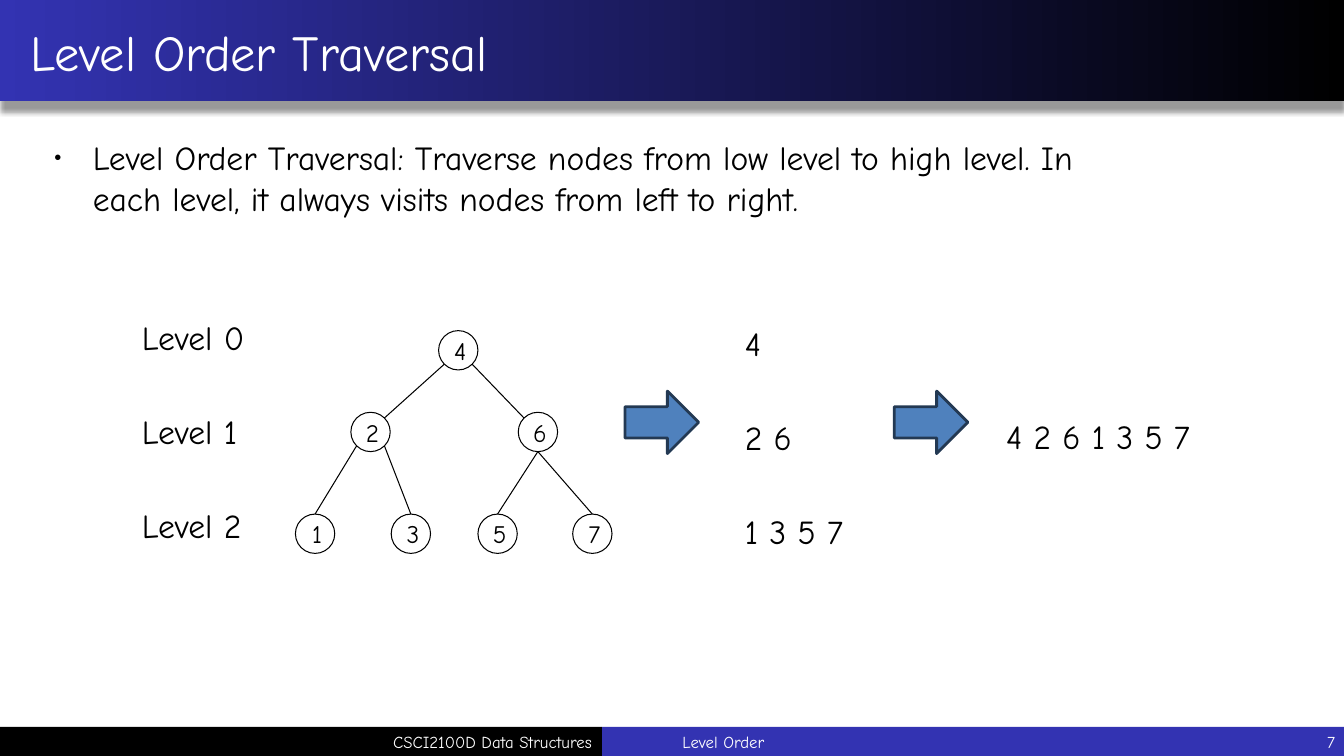
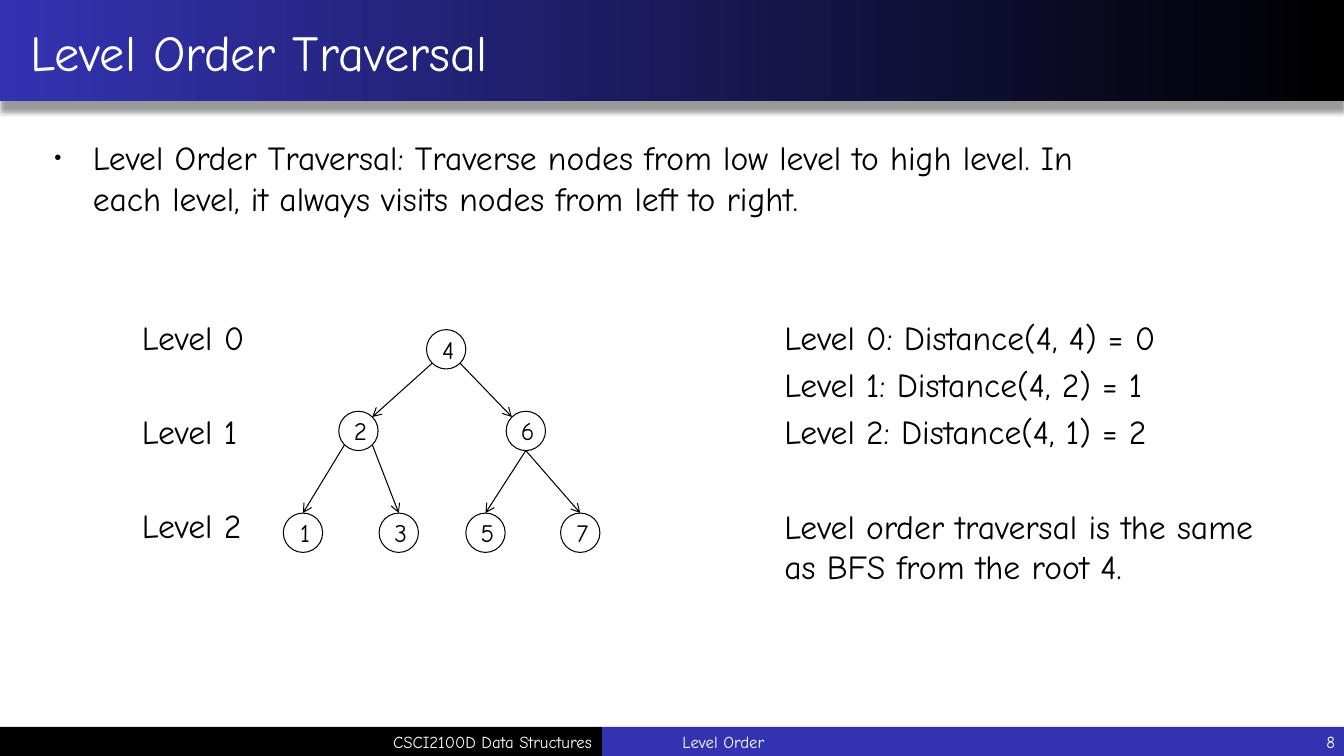
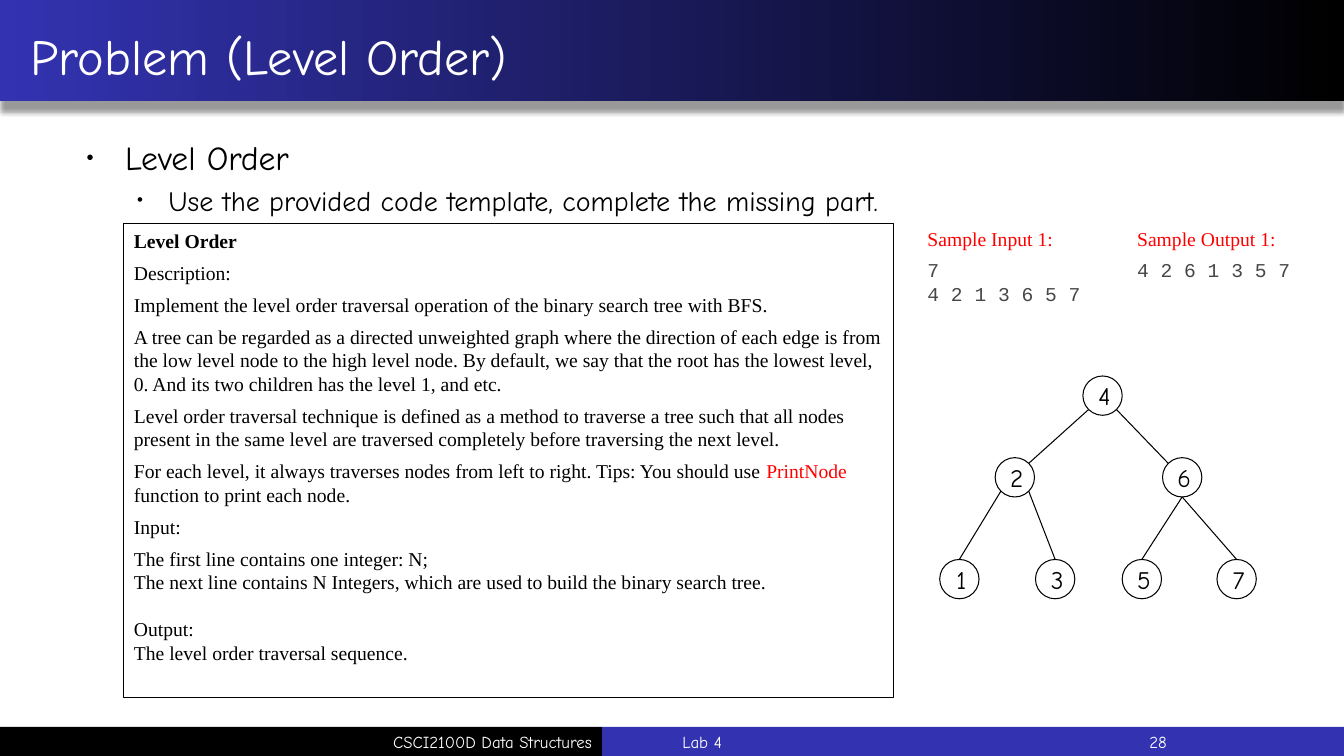
import math

import pptx
import pptx.dml.color
import pptx.enum.shapes
import pptx.enum.text
import pptx.oxml
import pptx.oxml.ns
import pptx.util

Inches = pptx.util.Inches
Pt = pptx.util.Pt
RGBColor = pptx.dml.color.RGBColor
MSO_SHAPE = pptx.enum.shapes.MSO_SHAPE
PP_ALIGN = pptx.enum.text.PP_ALIGN
MSO_ANCHOR = pptx.enum.text.MSO_ANCHOR
MSO_AUTO_SIZE = pptx.enum.text.MSO_AUTO_SIZE

BLACK = RGBColor(0x00, 0x00, 0x00)
WHITE = RGBColor(0xFF, 0xFF, 0xFF)
INDIGO = RGBColor(0x33, 0x33, 0xB2)
RED = RGBColor(0xFF, 0x00, 0x00)
CODE_GRAY = RGBColor(0x45, 0x47, 0x49)
ARROW_BLUE = RGBColor(0x4F, 0x81, 0xBD)
ARROW_EDGE = RGBColor(0x23, 0x39, 0x53)

COMIC = "Comic Neue"
TIMES = "Times New Roman"
COURIER = "Courier New"

SLIDE_WIDTH = 13.33
FOOTER_TOP = 7.21
FOOTER_HEIGHT = 0.29
FOOTER_SPLIT = 5.97

LIST_GAP = 5
LEVEL_GAP = 38.6

NODE_SIZE = 0.39
NODE_OFFSETS = {
    "4": (0, 0),
    "2": (-0.87, 0.81),
    "6": (0.79, 0.81),
    "1": (-1.42, 1.82),
    "3": (-0.47, 1.82),
    "5": (0.39, 1.82),
    "7": (1.33, 1.82),
}
DIAGONAL = math.sqrt(0.5)
TOP, BOTTOM = (0, -1), (0, 1)
TOP_LEFT, TOP_RIGHT = (-DIAGONAL, -DIAGONAL), (DIAGONAL, -DIAGONAL)
BOTTOM_LEFT, BOTTOM_RIGHT = (-DIAGONAL, DIAGONAL), (DIAGONAL, DIAGONAL)
EDGES = [
    ("4", BOTTOM_LEFT, "2", TOP_RIGHT),
    ("4", BOTTOM_RIGHT, "6", TOP_LEFT),
    ("2", BOTTOM_LEFT, "1", TOP),
    ("2", BOTTOM_RIGHT, "3", TOP),
    ("6", BOTTOM, "5", TOP),
    ("6", BOTTOM, "7", TOP),
]

DEFINITION = (
    "Level Order Traversal: Traverse nodes from low level to high level. "
    "In each level, it always visits nodes from left to right."
)
LEVELS = ["Level 0", "Level 1", "Level 2"]

STATEMENT = [
    "Level Order",
    "Description:",
    "Implement the level order traversal operation of the binary search tree with BFS.",
    "A tree can be regarded as a directed unweighted graph where the direction of each "
    "edge is from the low level node to the high level node. By default, we say that the "
    "root has the lowest level, 0. And its two children has the level 1, and etc.",
    "Level order traversal technique is defined as a method to traverse a tree such that "
    "all nodes present in the same level are traversed completely before traversing the "
    "next level.",
    "For each level, it always traverses nodes from left to right. Tips: You should use ",
    "Input:",
]
FORMAT_NOTES = [
    "The first line contains one integer: N;",
    "The next line contains N Integers, which are used to build the binary search tree.",
    "Output:",
    "The level order traversal sequence.",
]


def add_xml(parent, tag, **attributes):
    child = pptx.oxml.parse_xml(f"<a:{tag} {pptx.oxml.ns.nsdecls('a')}/>")
    for key, value in attributes.items():
        child.set(key, str(value))
    parent.append(child)
    return child


def set_font(font, size, name=COMIC, color=BLACK, bold=False):
    font.size = Pt(size)
    font.name = name
    font.color.rgb = color
    font.bold = bold


def add_line(frame, text, size, name=COMIC, color=BLACK, before=0, after=0, bold=False):
    paragraph = frame.paragraphs[0]
    if paragraph.runs:
        paragraph = frame.add_paragraph()
    paragraph.add_run().text = text
    paragraph.space_before = Pt(before)
    paragraph.space_after = Pt(after)
    set_font(paragraph.font, size, name, color, bold)
    return paragraph


def set_indent(paragraph, left, first=0):
    properties = paragraph._p.get_or_add_pPr()
    properties.set("marL", str(Inches(left)))
    properties.set("indent", str(Inches(first)))
    return properties


def add_bullet(frame, text, size, left, hang, level=0):
    paragraph = add_line(frame, text, size, before=LIST_GAP * size / 24)
    paragraph.level = level
    properties = set_indent(paragraph, left, -hang)
    font_defaults = properties.find(pptx.oxml.ns.qn("a:defRPr"))
    properties.remove(font_defaults)
    add_xml(properties, "buSzPct", val=60000)
    add_xml(properties, "buChar", char="•")
    properties.append(font_defaults)


def add_text_box(slide, left, top, width, height):
    box = slide.shapes.add_textbox(Inches(left), Inches(top), Inches(width), Inches(height))
    box.text_frame.word_wrap = True
    return box


def add_text(slide, left, top, width, height, lines, gap=LIST_GAP):
    frame = add_text_box(slide, left, top, width, height).text_frame
    for position, text in enumerate(lines):
        add_line(frame, text, 24, before=gap if position else LIST_GAP)
    return frame


def add_footer_text(slide, left, width, text, align=PP_ALIGN.LEFT):
    box = add_text_box(slide, left, FOOTER_TOP, width, FOOTER_HEIGHT)
    box.text_frame.vertical_anchor = MSO_ANCHOR.MIDDLE
    add_line(box.text_frame, text, 12, color=WHITE).alignment = align
    return box


def add_shape(slide, kind, left, top, width, height, fill=None, line=None, weight=0.75):
    shape = slide.shapes.add_shape(
        kind, Inches(left), Inches(top), Inches(width), Inches(height)
    )
    shape.shadow.inherit = False
    if fill is None:
        shape.fill.background()
    else:
        shape.fill.solid()
        shape.fill.fore_color.rgb = fill
    if line is None:
        shape.line.fill.background()
    else:
        shape.line.color.rgb = line
        shape.line.width = Pt(weight)
    return shape


def add_title_band(slide):
    band = add_shape(slide, MSO_SHAPE.RECTANGLE, 0, -0.01, SLIDE_WIDTH, 1.01)
    band.fill.gradient()
    band.fill.gradient_angle = 180
    for stop, color in zip(band.fill.gradient_stops, (BLACK, INDIGO)):
        stop.color.rgb = color
    effects = band._element.spPr.find(pptx.oxml.ns.qn("a:effectLst"))
    shadow = add_xml(
        effects, "outerShdw", blurRad=Pt(4), dist=Pt(7), dir=90 * 60000, rotWithShape=0
    )
    add_xml(add_xml(shadow, "srgbClr", val=BLACK), "alpha", val=40000)
    return band


def furnish_layout(layout, slide):
    for placeholder in list(layout.placeholders):
        if placeholder.placeholder_format.idx >= 10:
            layout.shapes.element.remove(placeholder.element)
    shared = [
        add_title_band(slide),
        add_shape(slide, MSO_SHAPE.RECTANGLE, FOOTER_SPLIT, FOOTER_TOP,
                  SLIDE_WIDTH - FOOTER_SPLIT, FOOTER_HEIGHT, INDIGO),
        add_shape(slide, MSO_SHAPE.RECTANGLE, 0, FOOTER_TOP,
                  FOOTER_SPLIT, FOOTER_HEIGHT, BLACK),
        add_footer_text(slide, 0.02, 5.95, "CSCI2100D Data Structures", PP_ALIGN.RIGHT),
    ]
    for item in shared:
        layout.shapes.element.append(item.element)


def place(shape, left, top, width, height):
    shape.left, shape.top = Inches(left), Inches(top)
    shape.width, shape.height = Inches(width), Inches(height)


def fill_title(slide, text, top=0.02):
    title = slide.shapes.title
    place(title, 0, top, SLIDE_WIDTH, 0.98)
    title.text_frame.auto_size = MSO_AUTO_SIZE.NONE
    title.text_frame.vertical_anchor = MSO_ANCHOR.MIDDLE
    heading = add_line(title.text_frame, text, 36, color=WHITE)
    heading.alignment = PP_ALIGN.LEFT
    set_indent(heading, 0.2)


def open_body(slide, left, top, width, height):
    body = slide.placeholders[1]
    place(body, left, top, width, height)
    body.text_frame.auto_size = MSO_AUTO_SIZE.NONE
    return body.text_frame


def add_node(slide, key, left, top):
    node = add_shape(slide, MSO_SHAPE.OVAL, left, top, NODE_SIZE, NODE_SIZE, line=BLACK)
    frame = node.text_frame
    frame.margin_left = Inches(0.04)
    frame.margin_right = frame.margin_top = frame.margin_bottom = 0
    frame.word_wrap = False
    frame.vertical_anchor = MSO_ANCHOR.MIDDLE
    add_line(frame, key, 18).alignment = PP_ALIGN.CENTER


def add_edge(slide, start, end, directed):
    edge = slide.shapes.add_connector(
        pptx.enum.shapes.MSO_CONNECTOR.STRAIGHT, *map(Inches, start + end)
    )
    edge.line.color.rgb = BLACK
    edge.line.width = Pt(0.75)
    if directed:
        add_xml(edge.line._get_or_add_ln(), "tailEnd", type="arrow")
    add_xml(edge._element.spPr, "effectLst")


def add_tree(slide, root_left, root_top, directed=False):
    def rim(key, direction):
        return tuple(
            origin + offset + NODE_SIZE / 2 * (1 + side)
            for origin, offset, side in zip(
                (root_left, root_top), NODE_OFFSETS[key], direction
            )
        )

    for key, (right, down) in NODE_OFFSETS.items():
        add_node(slide, key, root_left + right, root_top + down)
    for parent, parent_side, child, child_side in EDGES:
        add_edge(slide, rim(parent, parent_side), rim(child, child_side), directed)


def add_statement(slide):
    panel = add_shape(slide, MSO_SHAPE.RECTANGLE, 1.23, 2.22, 7.63, 4.7, line=BLACK)
    frame = panel.text_frame
    frame.word_wrap = True
    frame.vertical_anchor = MSO_ANCHOR.TOP
    for text in STATEMENT:
        paragraph = add_line(frame, text, 14, TIMES, after=6, bold=text == STATEMENT[0])
        paragraph.alignment = PP_ALIGN.LEFT
        if text.startswith("For each level"):
            function_name = paragraph.add_run()
            function_name.text = "PrintNode"
            function_name.font.color.rgb = RED
            paragraph.add_run().text = " function to print each node."
    for text in FORMAT_NOTES:
        before = 16.8 if text == "Output:" else 0
        paragraph = add_line(frame, text, 14, TIMES, before=before)
        paragraph.alignment = PP_ALIGN.LEFT


def add_sample(slide, left, width, heading, lines):
    frame = add_text_box(slide, left, 2.25, width, 1.02).text_frame
    add_line(frame, heading, 14, TIMES, RED, after=6).line_spacing = Pt(13)
    for text in lines:
        add_line(frame, text, 14, COURIER, CODE_GRAY)


def start_traversal(slide, number):
    fill_title(slide, "Level Order Traversal")
    add_bullet(open_body(slide, 0.44, 1.31, 10.32, 0.82), DEFINITION, 24, 0.38, 0.38)
    add_footer_text(slide, 6.67, 5.88, "Level Order")
    add_footer_text(slide, 11.67, 1.67, number, PP_ALIGN.RIGHT)
    add_text(slide, 1.31, 3.09, 3.27, 2.55, LEVELS, LEVEL_GAP)


def build_visit_order(slide):
    start_traversal(slide, "7")
    add_tree(slide, 4.35, 3.28)
    add_text(slide, 7.29, 3.15, 1.46, 2.55, ["4", "2 6", "1 3 5 7"], LEVEL_GAP)
    for left in (6.2, 8.87):
        add_shape(slide, MSO_SHAPE.RIGHT_ARROW, left, 3.88, 0.73, 0.62,
                  ARROW_BLUE, ARROW_EDGE, 2)
    add_text(slide, 9.88, 4.08, 3.08, 0.6, ["4 2 6 1 3 5 7"])


def build_distances(slide):
    start_traversal(slide, "8")
    distances = [
        f"Level {level}: Distance(4, {node}) = {level}" for level, node in enumerate("421")
    ]
    frame = add_text(slide, 7.68, 3.09, 5.05, 2.99, distances)
    add_line(frame, "Level order traversal is the same as BFS from the root 4.", 24,
             before=LEVEL_GAP)
    add_tree(slide, 4.23, 3.27, directed=True)


def build_problem(slide):
    fill_title(slide, "Problem (Level Order)", top=0.06)
    body = open_body(slide, 0.76, 1.31, 11.81, 5.39)
    add_bullet(body, "Level Order", 24, 0.38, 0.38)
    add_bullet(body, "Use the provided code template, complete the missing part.",
               20, 0.81, 0.31, level=1)
    add_footer_text(slide, 10.42, 1.25, "28", PP_ALIGN.RIGHT)
    add_footer_text(slide, 6.67, 4.41, "Lab 4")
    add_statement(slide)
    add_sample(slide, 9.1, 1.85, "Sample Input 1:", ["7", "4 2 1 3 6 5 7"])
    add_sample(slide, 11.18, 2.1, "Sample Output 1:", ["4 2 6 1 3 5 7"])
    add_tree(slide, 10.74, 3.73)


def main():
    presentation = pptx.Presentation()
    presentation.slide_width = Inches(SLIDE_WIDTH)
    presentation.slide_height = Inches(7.5)
    layout = presentation.slide_layouts[1]
    builders = (build_visit_order, build_distances, build_problem)
    slides = [presentation.slides.add_slide(layout) for _ in builders]
    furnish_layout(layout, slides[0])
    for build, slide in zip(builders, slides):
        build(slide)
    presentation.save("out.pptx")


if __name__ == "__main__":
    main()
